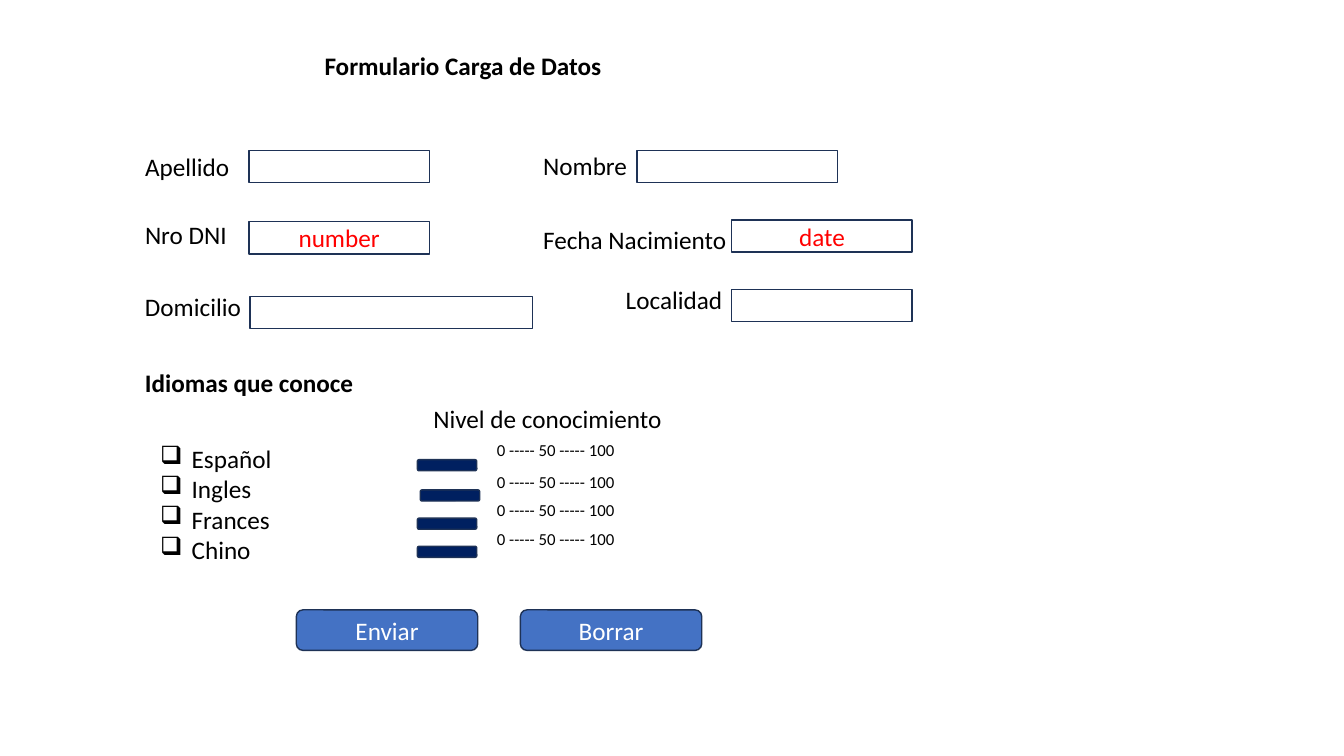
import pptx
import pptx.util
import pptx.dml.color
import pptx.enum.shapes
import pptx.enum.text
import pptx.oxml

Pt = pptx.util.Pt
SHAPE = pptx.enum.shapes.MSO_SHAPE
ALIGN = pptx.enum.text.PP_ALIGN
ANCHOR = pptx.enum.text.MSO_ANCHOR
FIT = pptx.enum.text.MSO_AUTO_SIZE

COLORS = {"text": "000000", "hint": "FF0000", "white": "FFFFFF",
          "outline": "1E3256", "bar": "002060", "button": "4472C4"}
FONT = "Calibri"

TITLE = "Formulario Carga de Datos"
# label, (left, top, width) of label, (left, top, width) of field, hint
FIELDS = [
    ("Apellido", (96.5, 104.4, 75.6), (177.8, 107.3, 128.9), ""),
    ("Nombre", (380.9, 103.7, 74.9), (455, 107.3, 143.3), ""),
    ("Nro DNI", (96.5, 153.4, 73.4), (177.8, 158.4, 128.9), "number"),
    ("Fecha Nacimiento", (380.9, 157, 146.9), (522.7, 157, 128.9), "date"),
    ("Domicilio", (96.5, 204.5, 83.5), (178.6, 211.7, 201.6), ""),
    ("Localidad", (439.9, 199.4, 84.2), (522.7, 206.6, 128.9), ""),
]
LANGUAGES_HEADING = "Idiomas que conoce"
LANGUAGES = ["Español", "Ingles", "Frances", "Chino"]
LEVEL_HEADING = "Nivel de conocimiento"
SCALE = "0 ----- 50 ----- 100"
# (left, top) of each level bar, top of its scale
LEVELS = [((298.1, 328.3), 310.3), ((300.2, 349.9), 333.4),
          ((298.1, 370.1), 353.5), ((298.1, 390.2), 374.4)]
BUTTONS = ["Enviar", "Borrar"]

LABEL_H, FIELD_H = 29, 23
BUTTON_LEFT, BUTTON_TOP, BUTTON_W, BUTTON_H, BUTTON_STEP = 211.7, 435.6, 129.6, 29, 160


def rgb(name):
    return pptx.dml.color.RGBColor.from_string(COLORS[name])


def write(tf, text, size=18, color="text", bold=False, align=ALIGN.LEFT,
          anchor=ANCHOR.TOP, wrap=True, bullet=None):
    """Fill a text frame, one paragraph per line of text."""
    tf.word_wrap = wrap
    tf.vertical_anchor = anchor
    for i, line in enumerate(text.split("\n")):
        p = tf.paragraphs[0] if i == 0 else tf.add_paragraph()
        p.alignment = align
        if bullet:
            pPr = p._p.get_or_add_pPr()
            pPr.set("marL", str(Pt(22.5)))
            pPr.set("indent", str(-Pt(22.5)))
            pPr.append(pptx.oxml.parse_xml(
                '<a:buChar xmlns:a="http://schemas.openxmlformats.org/drawingml/2006/main"'
                f' char="{bullet}"/>'))
        r = p.add_run()
        r.text = line
        r.font.name, r.font.size, r.font.bold = FONT, Pt(size), bold
        r.font.color.rgb = rgb(color)


def add_text(s, text, left, top, width, height=LABEL_H, **fmt):
    tf = s.shapes.add_textbox(Pt(left), Pt(top), Pt(width), Pt(height)).text_frame
    write(tf, text, **fmt)
    tf.auto_size = FIT.SHAPE_TO_FIT_TEXT


def add_box(s, kind, left, top, width, height, fill=None, text="", color="white"):
    sp = s.shapes.add_shape(kind, Pt(left), Pt(top), Pt(width), Pt(height))
    sp.shadow.inherit = False
    if fill:
        sp.fill.solid()
        sp.fill.fore_color.rgb = rgb(fill)
    else:
        sp.fill.background()
    sp.line.color.rgb = rgb("outline")
    sp.line.width = Pt(1)
    if text:
        write(sp.text_frame, text, color=color, align=ALIGN.CENTER, anchor=ANCHOR.MIDDLE)


def main():
    prs = pptx.Presentation()
    prs.slide_width, prs.slide_height = Pt(960), Pt(540)
    s = prs.slides.add_slide(prs.slide_layouts[5])

    title = s.shapes.title
    title.left, title.top, title.width, title.height = Pt(224.6), Pt(32.4), Pt(436.3), Pt(LABEL_H)
    write(title.text_frame, TITLE, bold=True)
    title.text_frame.auto_size = FIT.NONE

    for label, label_at, field_at, hint in FIELDS:
        add_text(s, label, *label_at, wrap=False)
        add_box(s, SHAPE.RECTANGLE, *field_at, FIELD_H, text=hint, color="hint")

    add_text(s, LANGUAGES_HEADING, 96.5, 258.5, 199.4, bold=True)
    add_text(s, "\n".join(LANGUAGES), 107.3, 313.2, 131, 94.3, bullet="❑")

    add_text(s, LEVEL_HEADING, 302.4, 284.4, 179.3, wrap=False)
    for bar_at, scale_top in LEVELS:
        add_box(s, SHAPE.ROUNDED_RECTANGLE, *bar_at, 42.5, 8, fill="bar")
        add_text(s, SCALE, 347.8, scale_top, 99.4, 21.6, size=12, wrap=False)

    for i, caption in enumerate(BUTTONS):
        add_box(s, SHAPE.ROUNDED_RECTANGLE, BUTTON_LEFT + i * BUTTON_STEP, BUTTON_TOP,
                BUTTON_W, BUTTON_H, fill="button", text=caption)

    prs.save("out.pptx")


if __name__ == "__main__":
    main()
